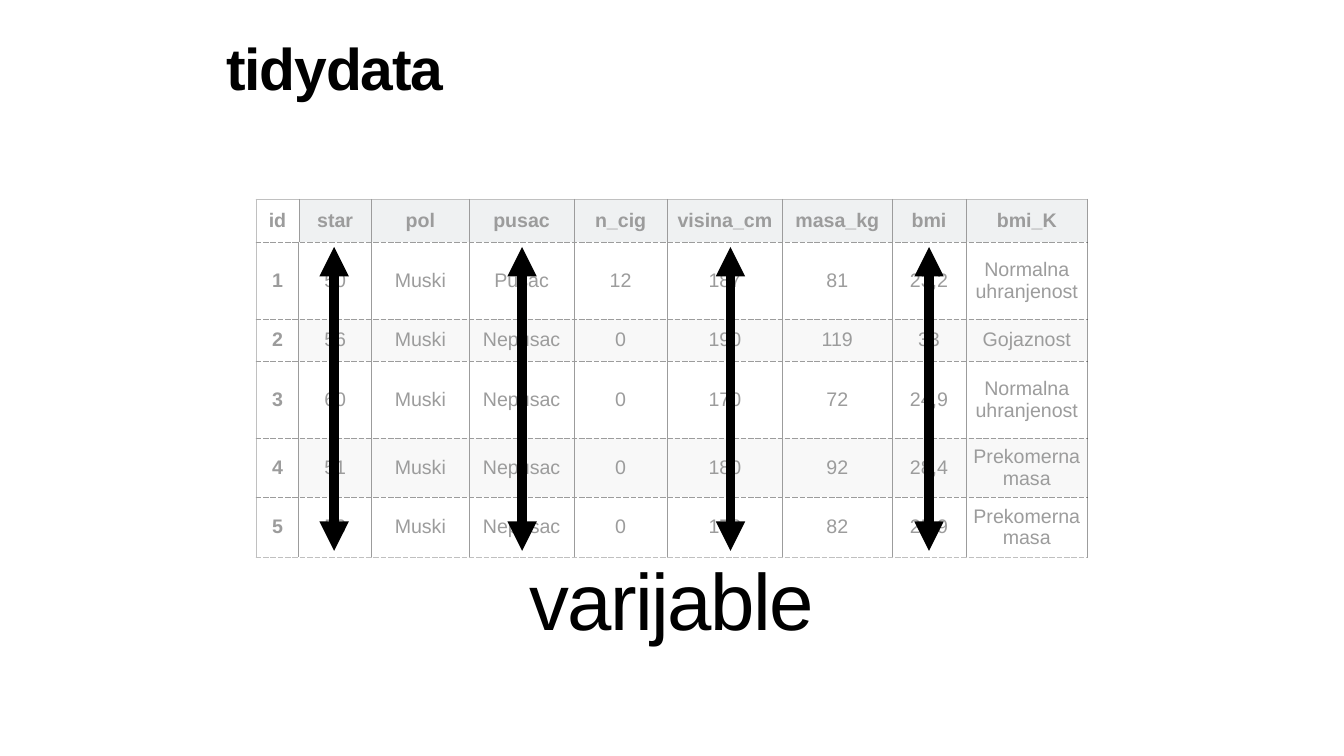
from lxml.etree import SubElement as Sub
from pptx import Presentation
from pptx.dml.color import RGBColor as Rgb
from pptx.enum.shapes import MSO_CONNECTOR as Conn, MSO_SHAPE as Kind
from pptx.enum.text import MSO_ANCHOR as Anchor, MSO_AUTO_SIZE as Fit, PP_ALIGN as Align
from pptx.oxml.ns import qn
from pptx.util import Inches, Pt

WIDE, HIGH = 26.67, 15
BLACK, EDGE = "000000", "5E5E5E"


def place(left, top, wide, high):
    """Turn percentages of the slide into lengths."""
    return [Inches(part * side / 100)
            for part, side in zip((left, top, wide, high), (WIDE, HIGH) * 2)]


def write(frame, text, size, bold=False, align=Align.LEFT, space=None, track=0, pad=0.08):
    frame.vertical_anchor = Anchor.MIDDLE
    for side in ("left", "top", "right", "bottom"):
        setattr(frame, f"margin_{side}", Inches(pad))
    para = frame.paragraphs[0]
    para.alignment, para.line_spacing = align, space
    run = para.add_run()
    run.text = text
    for name, value in {"name": "Arial", "size": Pt(size), "bold": bold}.items():
        setattr(run.font, name, value)
    run.font.color.rgb = Rgb.from_string(BLACK)
    if track:
        run.font._element.set("spc", str(track))


deck = Presentation()
deck.slide_width, deck.slide_height = Inches(WIDE), Inches(HIGH)
slide = deck.slides.add_slide(deck.slide_layouts[5])
shapes = slide.shapes

title = shapes.title
title.left, title.top, title.width, title.height = place(16.54, 4.53, 66.93, 10.4)
write(title.text_frame, "tidydata", 84, bold=True, space=0.8, track=-170)

# Data table
rows = [
    ["id", "star", "pol", "pusac", "n_cig", "visina_cm", "masa_kg", "bmi", "bmi_K"],
    ["1", "50", "Muski", "Pusac", "12", "187", "81", "23,2", "Normalna uhranjenost"],
    ["2", "56", "Muski", "Nepusac", "0", "190", "119", "33", "Gojaznost"],
    ["3", "60", "Muski", "Nepusac", "0", "170", "72", "24,9", "Normalna uhranjenost"],
    ["4", "51", "Muski", "Nepusac", "0", "180", "92", "28,4", "Prekomerna masa"],
    ["5", "56", "Muski", "Nepusac", "0", "178", "82", "25,9", "Prekomerna masa"],
]
cols = [0.85, 1.44, 1.94, 2.08, 1.85, 2.29, 2.17, 1.47, 2.41]
highs = [0.85, 1.53, 0.83, 1.53, 1.18, 1.18]
last_row, last_col = len(rows) - 1, len(cols) - 1
grid = shapes.add_table(len(rows), len(cols), *place(19.05, 26.33, 61.94, 47.47))
table = grid.table
table.first_row = table.horz_banding = False
for col, wide in zip(table.columns, cols):
    col.width = Inches(wide)
for row, high in zip(table.rows, highs):
    row.height = Inches(high)

for r, words in enumerate(rows):
    for c, word in enumerate(words):
        cell = table.cell(r, c)
        write(cell.text_frame, word, 28, bold=r == 0 or c == 0, align=Align.CENTER)
        cell.vertical_anchor = Anchor.MIDDLE
        for side in ("left", "top", "right", "bottom"):
            setattr(cell, f"margin_{side}", Inches(0.06))
        props = cell._tc.get_or_add_tcPr()
        outer = {"L": c == 0, "R": c == last_col, "T": r == 0, "B": r == last_row}
        for side, rim in outer.items():
            thick = 2 if side == "R" and c == 0 and r else 1
            line = Sub(props, qn(f"a:ln{side}"), w=str(Pt(thick)))
            fill = Sub(line, qn("a:solidFill"))
            Sub(fill, qn("a:srgbClr"), val=EDGE if rim else BLACK)
            dashed = side == "B" or side == "T" and r
            Sub(line, qn("a:prstDash"), val="sysDash" if dashed else "solid")
        if c and r in (0, 2, 4):
            cell.fill.solid()
            cell.fill.fore_color.rgb = Rgb.from_string("EDEEEE" if r else "D6DCE0")
        else:
            cell.fill.background()

# Pale veil over the table
veil = shapes.add_shape(Kind.RECTANGLE, *place(19.05, 26.07, 61.87, 47.8))
veil.shadow.inherit = False
veil.fill.solid()
veil.fill.fore_color.rgb = Rgb.from_string("FFFFFF")
tint = veil.fill._xPr.find(qn("a:solidFill"))[0]
Sub(tint, qn("a:alpha"), val="61000")
veil.line.fill.background()

# One arrow down each variable's column, with a small nudge
for c, nudge in {3: 0.01, 1: -0.02, 5: 0.11, 7: 0}.items():
    x = grid.left + Inches(sum(cols[:c]) + cols[c] / 2 + nudge)
    low, top = Inches(HIGH * 0.7287), Inches(HIGH * 0.3267)
    arrow = shapes.add_connector(Conn.STRAIGHT, x, low, x, top)
    arrow.line.width = Pt(14)
    arrow.line.color.rgb = Rgb.from_string(BLACK)
    for end in ("head", "tail"):
        Sub(arrow.line._get_or_add_ln(), qn(f"a:{end}End"), type="triangle")
    Sub(arrow._element.spPr, qn("a:effectLst"))

label = shapes.add_textbox(*place(38.7, 73.6, 22.57, 13.6)).text_frame
label.word_wrap = False
label.auto_size = Fit.SHAPE_TO_FIT_TEXT
write(label, "varijable", 114, align=Align.CENTER, space=0.8, track=-230)

deck.save("out.pptx")
